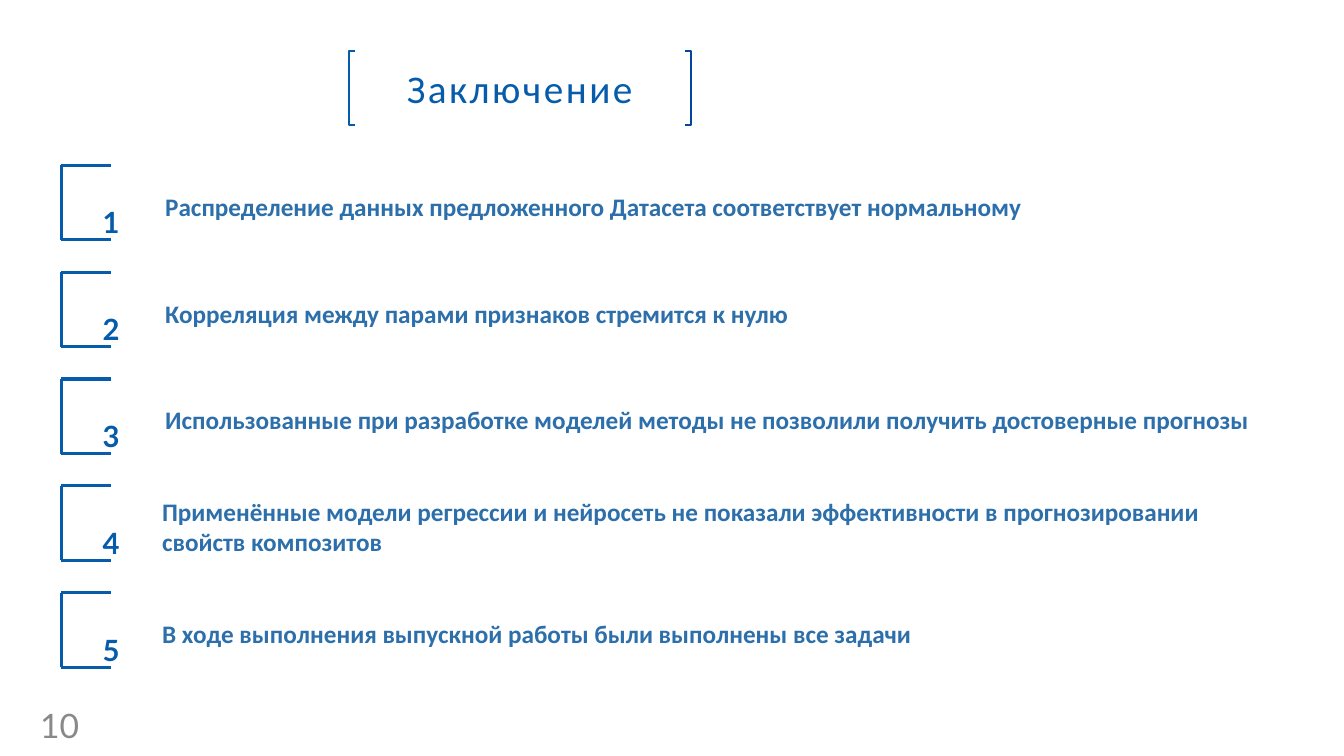
"""Build the conclusion slide: a bracketed title and five numbered findings."""
from pptx import Presentation
from pptx.dml.color import RGBColor
from pptx.enum.text import MSO_ANCHOR as Anchor, MSO_AUTO_SIZE as AutoSize, PP_ALIGN as Align
from pptx.enum.shapes import MSO_CONNECTOR as Connector
from pptx.oxml.ns import qn
from pptx.util import Inches, Pt

BLUE = RGBColor(0x06, 0x5C, 0xAB)
DEEP_BLUE = RGBColor(0x00, 0x46, 0xA2)
TEXT_BLUE = RGBColor(0x2C, 0x6F, 0xAA)
GREY = RGBColor(0x89, 0x89, 0x89)
WHITE = RGBColor(0xFF, 0xFF, 0xFF)

ROW_TOP, ROW_PITCH = 1.64, 1.06
BRACKET_LEFT, BRACKET_W, BRACKET_H = 0.61, 0.49, 0.74
TITLE_LEFT, TITLE_TOP, TITLE_W, TITLE_H, TITLE_HOOK = 3.46, 0.51, 3.39, 0.73, 0.06

FINDINGS = [
    ("Распределение данных предложенного Датасета соответствует нормальному", 1.54, 9.07),
    ("Корреляция между парами признаков стремится к нулю", 1.54, 10.29),
    ("Использованные при разработке моделей методы не позволили получить достоверные прогнозы", 1.54, 11.19),
    ("Применённые модели регрессии и нейросеть не показали эффективности в прогнозировании свойств композитов", 1.51, 10.67),
    ("В ходе выполнения выпускной работы были выполнены все задачи", 1.51, 8.48),
]

prs = Presentation()
prs.slide_width, prs.slide_height = Inches(13.33), Inches(7.5)
s = prs.slides.add_slide(prs.slide_layouts[5])


def put_text(text, box, size, color, font="Calibri", bold=False, align=Align.LEFT,
             anchor=Anchor.MIDDLE, shape=None, **run_attrs):
    """Write one formatted run into a new text box or the given shape."""
    sp = shape or s.shapes.add_textbox(0, 0, 0, 0)
    sp.left, sp.top, sp.width, sp.height = map(Inches, box)
    tf = sp.text_frame
    tf.word_wrap, tf.auto_size, tf.vertical_anchor = True, AutoSize.NONE, anchor
    p = tf.paragraphs[0]
    p.alignment = align
    r = p.add_run()
    r.text = text
    r.font.name, r.font.size, r.font.bold = font, Pt(size), bold
    r.font.color.rgb = color
    for name, value in run_attrs.items():
        r.font._element.set(name, value)
    return sp


title = put_text("Заключение", (TITLE_LEFT, TITLE_TOP, TITLE_W, TITLE_H), 28, BLUE,
                 align=Align.CENTER, shape=s.shapes.title, spc="180")
title.fill.solid()
title.fill.fore_color.rgb = WHITE
title.line.color.rgb = WHITE
title.line.width = Pt(2)

for edge, hook, color in ((TITLE_LEFT, TITLE_HOOK, BLUE),
                          (TITLE_LEFT + TITLE_W, -TITLE_HOOK, DEEP_BLUE)):
    bottom = TITLE_TOP + TITLE_H
    fb = s.shapes.build_freeform(Inches(edge + hook), Inches(TITLE_TOP))
    fb.add_line_segments([(Inches(x), Inches(y)) for x, y in
                          ((edge, TITLE_TOP), (edge, bottom), (edge + hook, bottom))], close=False)
    sp = fb.convert_to_shape()
    sp.shadow.inherit = False
    sp.fill.background()
    sp.line.color.rgb = color
    sp.line.width = Pt(1.3)

for i, (finding, left, width) in enumerate(FINDINGS):
    top = ROW_TOP + i * ROW_PITCH
    bottom, right = top + BRACKET_H, BRACKET_LEFT + BRACKET_W
    for x, y, x2, y2 in ((BRACKET_LEFT, top, BRACKET_LEFT, bottom),
                         (BRACKET_LEFT, top, right, top),
                         (BRACKET_LEFT, bottom, right, bottom)):
        line = s.shapes.add_connector(Connector.STRAIGHT, *map(Inches, (x, y, x2, y2)))
        line.line.color.rgb = BLUE
        line.line.width = Pt(2.25)
        sppr = line._element.spPr
        sppr.append(sppr.makeelement(qn("a:effectLst"), {}))
    put_text(str(i + 1), (0.92, top + 0.28, 1.18, 0.5), 36, BLUE, font="Lato", bold=True,
             anchor=Anchor.TOP, baseline="30000")
    put_text(finding, (left, top + 0.05, width, 0.71), 18, TEXT_BLUE, bold=True)

put_text("10", (0.3, 7.04, 0.62, 0.3), 24, GREY, font="Lato")

prs.save("out.pptx")
